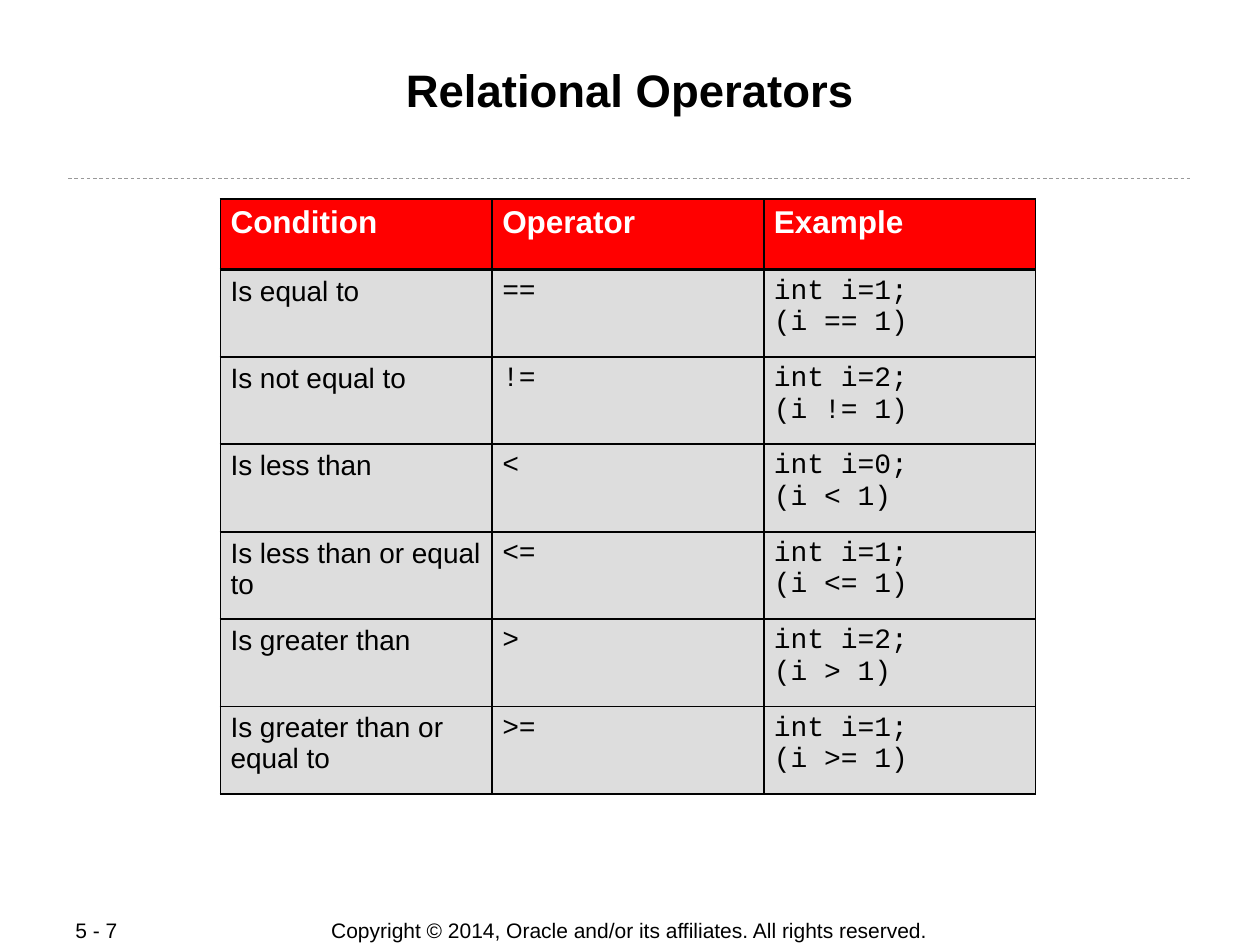
import dataclasses

import pptx
import pptx.dml.color
import pptx.enum.dml
import pptx.enum.shapes
import pptx.enum.text
import pptx.oxml
import pptx.oxml.ns
import pptx.util

COLORS = {"text": "000000", "header": "FF0000", "header text": "FFFFFF",
          "body": "DDDDDD", "rule": "999999", "border": "000000"}
SANS, MONO = "Arial", "Courier New"
ALIGN = pptx.enum.text.PP_ALIGN
ANCHOR = pptx.enum.text.MSO_ANCHOR

# The slide is a grid of 10 columns by 7.5 rows of square units
UNIT = pptx.util.Inches(1)
COLUMNS, ROWS = 10, 7.5
THIN, THICK = 1.08, 2.21


@dataclasses.dataclass
class Box:
    column: float
    row: float
    columns: float
    rows: float

    def lengths(self) -> list:
        return [grid(value) for value in dataclasses.astuple(self)]


@dataclasses.dataclass
class Style:
    size: float
    font: str = SANS
    color: str = "text"
    bold: bool = False
    align: ALIGN = ALIGN.LEFT


@dataclasses.dataclass
class Label:
    text: str
    box: Box
    style: Style
    frame: dict


@dataclasses.dataclass
class Operator:
    condition: str
    symbol: str
    value: int

    def cells(self) -> tuple:
        example = f"int i={self.value};\n(i {self.symbol} 1)"
        return self.condition, self.symbol, example


HEADER = Style(18, color="header text", bold=True)
BODY_STYLES = (Style(16), Style(16, MONO), Style(16, MONO))
FOOTER_FRAME = {"word_wrap": False, "vertical_anchor": ANCHOR.MIDDLE,
                "margin_left": pptx.util.Inches(0.1),
                "margin_right": pptx.util.Inches(0.1)}
LABELS = [
    # Wide enough to hold the copyright line on one line
    Label("Copyright © 2014, Oracle and/or its affiliates. All rights reserved.",
          Box(2.45, 7.28, 5.09, 0.21), Style(12, align=ALIGN.CENTER), FOOTER_FRAME),
    Label("5 - 7", Box(0.5, 7.28, 1.06, 0.2), Style(12, align=ALIGN.JUSTIFY),
          FOOTER_FRAME),
    Label("Relational Operators", Box(0.67, 0.48, 8.66, 0.96),
          Style(26, bold=True, align=ALIGN.CENTER),
          {"word_wrap": True, "vertical_anchor": ANCHOR.TOP,
           "margin_top": pptx.util.Inches(0.01)}),
]
HEADINGS = ("Condition", "Operator", "Example")
OPERATORS = [
    Operator("Is equal to", "==", 1),
    Operator("Is not equal to", "!=", 2),
    Operator("Is less than", "<", 0),
    Operator("Is less than or equal to", "<=", 1),
    Operator("Is greater than", ">", 2),
    Operator("Is greater than or equal to", ">=", 1),
]
TABLE_BOX = Box(1.75, 1.58, 6.47, 4.72)
HEADER_ROWS = 0.56


def grid(units: float) -> int:
    return round(units * UNIT)


def rgb(name: str):
    return pptx.dml.color.RGBColor.from_string(COLORS[name])


def write(frame, text: str, style: Style) -> None:
    frame.text = text
    values = {"size": pptx.util.Pt(style.size), "name": style.font,
              "bold": style.bold}
    for paragraph in frame.paragraphs:
        paragraph.alignment = style.align
        for name, value in values.items():
            setattr(paragraph.font, name, value)
        paragraph.font.color.rgb = rgb(style.color)


def add_label(slide, label: Label) -> None:
    shape = slide.shapes.add_textbox(*label.box.lengths())
    for name, value in label.frame.items():
        setattr(shape.text_frame, name, value)
    write(shape.text_frame, label.text, label.style)


def add_rule(slide, left: float, right: float, row: float) -> None:
    connector = slide.shapes.add_connector(
        pptx.enum.shapes.MSO_CONNECTOR.STRAIGHT,
        grid(left), grid(row), grid(right), grid(row))
    connector.line.color.rgb = rgb("rule")
    connector.line.width = pptx.util.Pt(0.5)
    connector.line.dash_style = pptx.enum.dml.MSO_LINE.DASH
    properties = connector._element.spPr
    properties.append(properties.makeelement(pptx.oxml.ns.qn("a:effectLst"), {}))


def set_borders(cell, top: float, bottom: float) -> None:
    properties = cell._tc.get_or_add_tcPr()
    widths = {"lnL": THIN, "lnR": THIN, "lnT": top, "lnB": bottom}
    for index, (side, width) in enumerate(widths.items()):
        # Borders come before the fill in the cell properties
        properties.insert(index, pptx.oxml.parse_xml(
            f'<a:{side} {pptx.oxml.ns.nsdecls("a")} w="{pptx.util.Pt(width)}">'
            f'<a:solidFill><a:srgbClr val="{COLORS["border"]}"/></a:solidFill>'
            f'</a:{side}>'))


def fill_cell(cell, text: str, style: Style, row: int) -> None:
    margins = {"margin_left": 0.08, "margin_right": 0.08,
               "margin_top": 0.05, "margin_bottom": 0.05}
    for name, value in margins.items():
        setattr(cell, name, pptx.util.Inches(value))
    cell.fill.solid()
    cell.fill.fore_color.rgb = rgb("body" if row else "header")
    set_borders(cell, THICK if row == 1 else THIN, THIN if row else THICK)
    write(cell.text_frame, text, style)


def add_operator_table(slide) -> None:
    contents = [HEADINGS] + [operator.cells() for operator in OPERATORS]
    table = slide.shapes.add_table(
        len(contents), len(HEADINGS), *TABLE_BOX.lengths()).table
    for column in table.columns:
        column.width = grid(TABLE_BOX.columns / len(HEADINGS))
    body_rows = (TABLE_BOX.rows - HEADER_ROWS) / len(OPERATORS)
    for row, texts in enumerate(contents):
        table.rows[row].height = grid(body_rows if row else HEADER_ROWS)
        for column, text in enumerate(texts):
            style = BODY_STYLES[column] if row else HEADER
            fill_cell(table.cell(row, column), text, style, row)


def main() -> None:
    presentation = pptx.Presentation()
    presentation.slide_width = grid(COLUMNS)
    presentation.slide_height = grid(ROWS)
    slide = presentation.slides.add_slide(presentation.slide_layouts[6])

    # Dashed rule under the title, then footer and title
    add_rule(slide, 0.54, 9.46, 1.42)
    for label in LABELS:
        add_label(slide, label)

    # Operators
    add_operator_table(slide)
    presentation.save("out.pptx")


if __name__ == "__main__":
    main()
